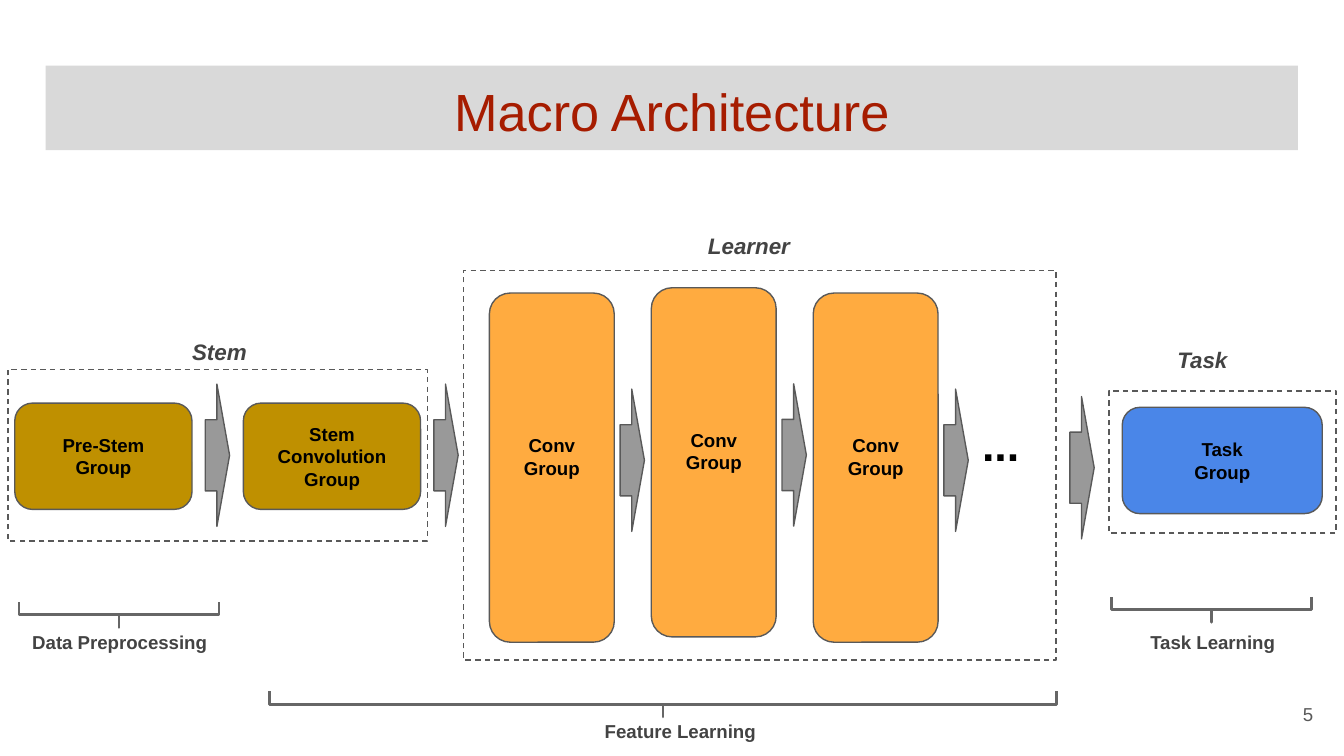
from lxml import etree
from pptx import Presentation
from pptx.dml.color import RGBColor
from pptx.enum.dml import MSO_LINE
from pptx.enum.shapes import MSO_SHAPE
from pptx.enum.text import MSO_ANCHOR, MSO_AUTO_SIZE, PP_ALIGN
from pptx.util import Cm, Pt

RECT = MSO_SHAPE.RECTANGLE
ROUNDED = MSO_SHAPE.ROUNDED_RECTANGLE
ARROW = MSO_SHAPE.DOWN_ARROW
BRACE = MSO_SHAPE.LEFT_BRACE
DASH = MSO_LINE.DASH
TOP, MIDDLE = MSO_ANCHOR.TOP, MSO_ANCHOR.MIDDLE
LEFT, CENTER, RIGHT = PP_ALIGN.LEFT, PP_ALIGN.CENTER, PP_ALIGN.RIGHT
NO_FIT = MSO_AUTO_SIZE.NONE
INSET = 0.25
OUTLINE, LABEL = "595959", "434343"
STEM, CONV, TASK, FLOW = "BF9000", "FFAB40", "4A86E8", "999999"


def color(hex_value):
    """Return the colour for a hex string."""
    return RGBColor.from_string(hex_value)


def write(shape, text, size, ink, bold=True, italic=False, align=LEFT,
          anchor=TOP, bottom=INSET):
    """Fill a shape with uniformly formatted text."""
    frame = shape.text_frame
    frame.text = text
    frame.word_wrap = True
    frame.auto_size = NO_FIT
    frame.vertical_anchor = anchor
    frame.margin_left = frame.margin_right = frame.margin_top = Cm(INSET)
    frame.margin_bottom = Cm(bottom)
    for paragraph in frame.paragraphs:
        paragraph.alignment = align
        for run in paragraph.runs:
            run.font.name = "Arial"
            run.font.size = Pt(size)
            run.font.bold = bold
            run.font.italic = italic
            run.font.color.rgb = color(ink)


def add_label(slide, box, text, size=10, ink=LABEL, **style):
    """Add a text box."""
    label = slide.shapes.add_textbox(*map(Cm, box))
    write(label, text, size, ink, **style)


def add_outlined(slide, kind, box, fill=None, line=OUTLINE, width=0.75):
    """Add a preset shape with an outline and an optional fill."""
    shape = slide.shapes.add_shape(kind, *map(Cm, box))
    shape.shadow.inherit = False
    if fill:
        shape.fill.solid()
        shape.fill.fore_color.rgb = color(fill)
    else:
        shape.fill.background()
    shape.line.color.rgb = color(line)
    shape.line.width = Pt(width)
    return shape


def add_group(slide, box, text, fill, bottom=INSET):
    """Add a rounded block for one layer group."""
    block = add_outlined(slide, ROUNDED, box, fill)
    write(block, text, 10, "000000", align=CENTER, anchor=MIDDLE, bottom=bottom)


def add_sideways(slide, kind, center, thickness, length, **style):
    """Add a shape turned a quarter to the left around its centre."""
    x, y = center
    if kind == ARROW:
        box = (x - length / 2, y - thickness / 2, length, thickness)
    else:
        box = (x - thickness / 2, y - length / 2, thickness, length)
    shape = add_outlined(slide, kind, box, **style)
    shape.rotation = 270
    return shape


def add_flow_arrow(slide, x, y):
    """Add a tall arrow pointing right, centred on a point."""
    arrow = add_sideways(slide, ARROW, (x, y), 0.46, 2.69, fill=FLOW)
    arrow.adjustments[1] = 0.52


def add_stage(slide, box, name, dx, dy):
    """Add the dashed frame of a stage and its name above it."""
    left, top, width, height = box
    add_outlined(slide, RECT, box).line.dash_style = DASH
    add_label(slide, (left + dx, top - dy, 2.11, 1.09), name, 12, italic=True)


def add_title(slide, box):
    """Place and format the title band."""
    title = slide.shapes.title
    title.left, title.top, title.width, title.height = map(Cm, box)
    title.fill.solid()
    title.fill.fore_color.rgb = color("D9D9D9")
    write(title, "Macro Architecture", 28, "A61C00", bold=False, align=CENTER)


def add_stem(slide, box):
    """Build the stem stage with its two groups."""
    left, top, width, height = box
    add_stage(slide, box, "Stem", 3.23, 0.83)
    for dx, text in ((0.13, "Pre-Stem\vGroup"),
                     (4.45, "Stem\vConvolution Group")):
        add_group(slide, (left + dx, top + 0.64, 3.35, 2.01), text, STEM)
        add_flow_arrow(slide, left + dx + 3.83, top + height / 2)


def add_learner(slide, box):
    """Build the learner stage with its row of convolution groups."""
    left, top, width, height = box
    add_stage(slide, box, "Learner", 4.37, 0.97)
    for index, dy in enumerate((0.43, 0.33, 0.43)):
        x = left + 0.49 + 3.06 * index
        add_group(slide, (x, top + dy, 2.36, 6.6), "Conv\vGroup", CONV, 0.67)
        add_flow_arrow(slide, x + 2.7, top + dy + 3.16)
    add_label(slide, (left + 9.55, top + 2.51, 2.11, 1.17), "...", 24, "000000")


def add_task(slide, box):
    """Build the task stage with the arrow leading into it."""
    left, top, width, height = box
    add_flow_arrow(slide, left - 0.51, top + 1.45)
    add_stage(slide, box, "Task", 1.04, 1.09)
    add_group(slide, (left + 0.25, top + 0.31, 3.78, 2.01), "Task\vGroup", TASK)


def add_phase(slide, box, text, dx, dy):
    """Add a bracket with the name of a learning phase below it."""
    left, top, width, height = box
    center = (left + width / 2, top + height / 2)
    brace = add_sideways(slide, BRACE, center, height, width,
                         line="666666", width=1.5)
    brace.adjustments[0] = 0
    add_label(slide, (left + dx, top + dy, 4.09, 0.79), text)


def main():
    """Build and save the slide."""
    deck = Presentation()
    deck.slide_width, deck.slide_height = Cm(25.4), Cm(14.29)
    slide = deck.slides.add_slide(deck.slide_layouts[5])
    add_title(slide, (0.86, 1.24, 23.67, 1.6))
    add_stem(slide, (0.15, 6.98, 7.93, 3.25))
    add_learner(slide, (8.76, 5.11, 11.2, 7.37))
    add_task(slide, (20.96, 7.39, 4.29, 2.69))
    add_phase(slide, (0.36, 11.38, 3.78, 0.48), "Data Preprocessing", 0, 0.3)
    add_phase(slide, (5.09, 13.07, 14.88, 0.48), "Feature Learning", 6.09, 0.29)
    add_phase(slide, (21.01, 11.28, 3.78, 0.48), "Task Learning", 0.48, 0.4)
    add_label(slide, (23.55, 12.95, 1.52, 1.09), "5", ink=OUTLINE, bold=False,
              align=RIGHT, anchor=MIDDLE)
    deck.save("out.pptx")


if __name__ == "__main__":
    main()
